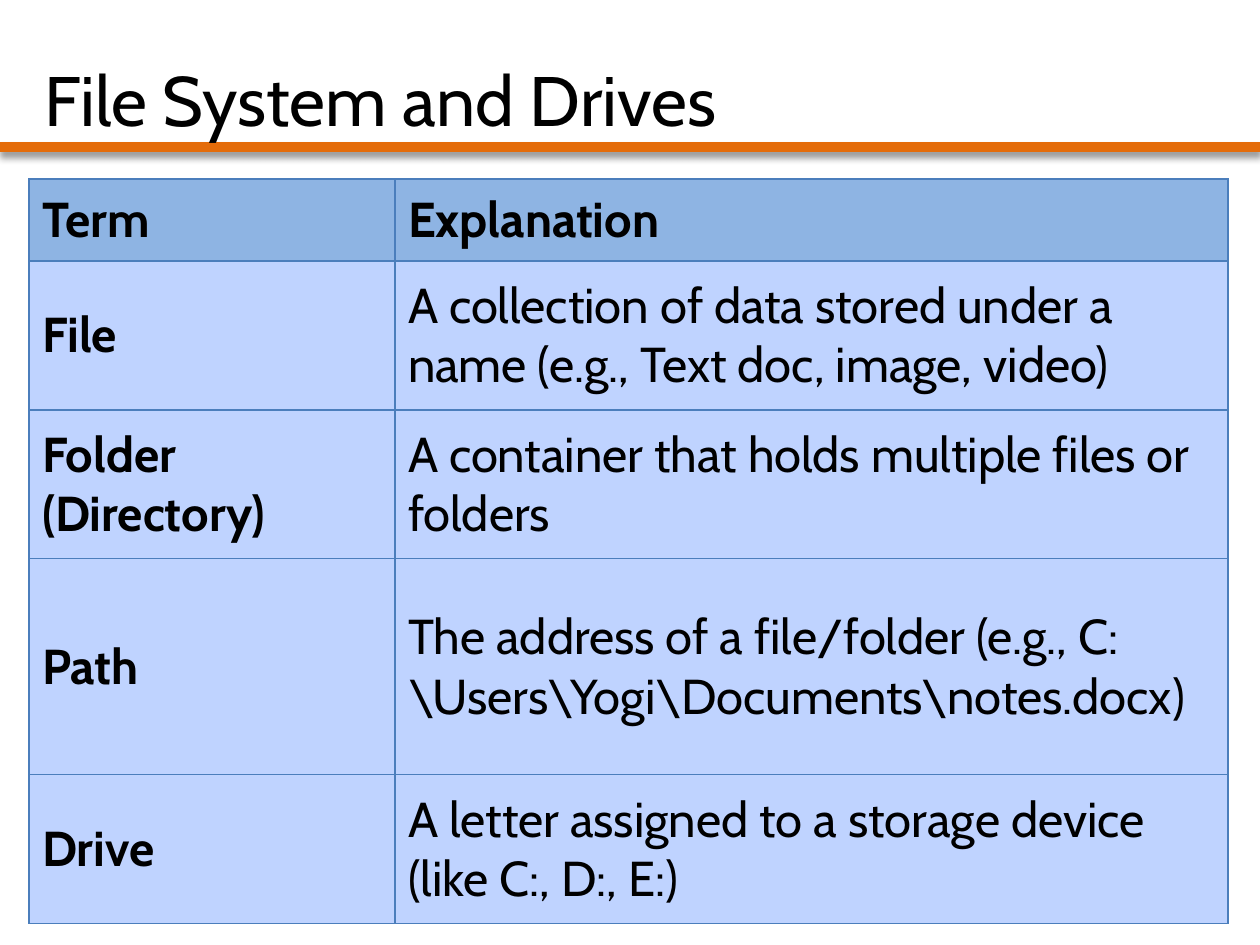
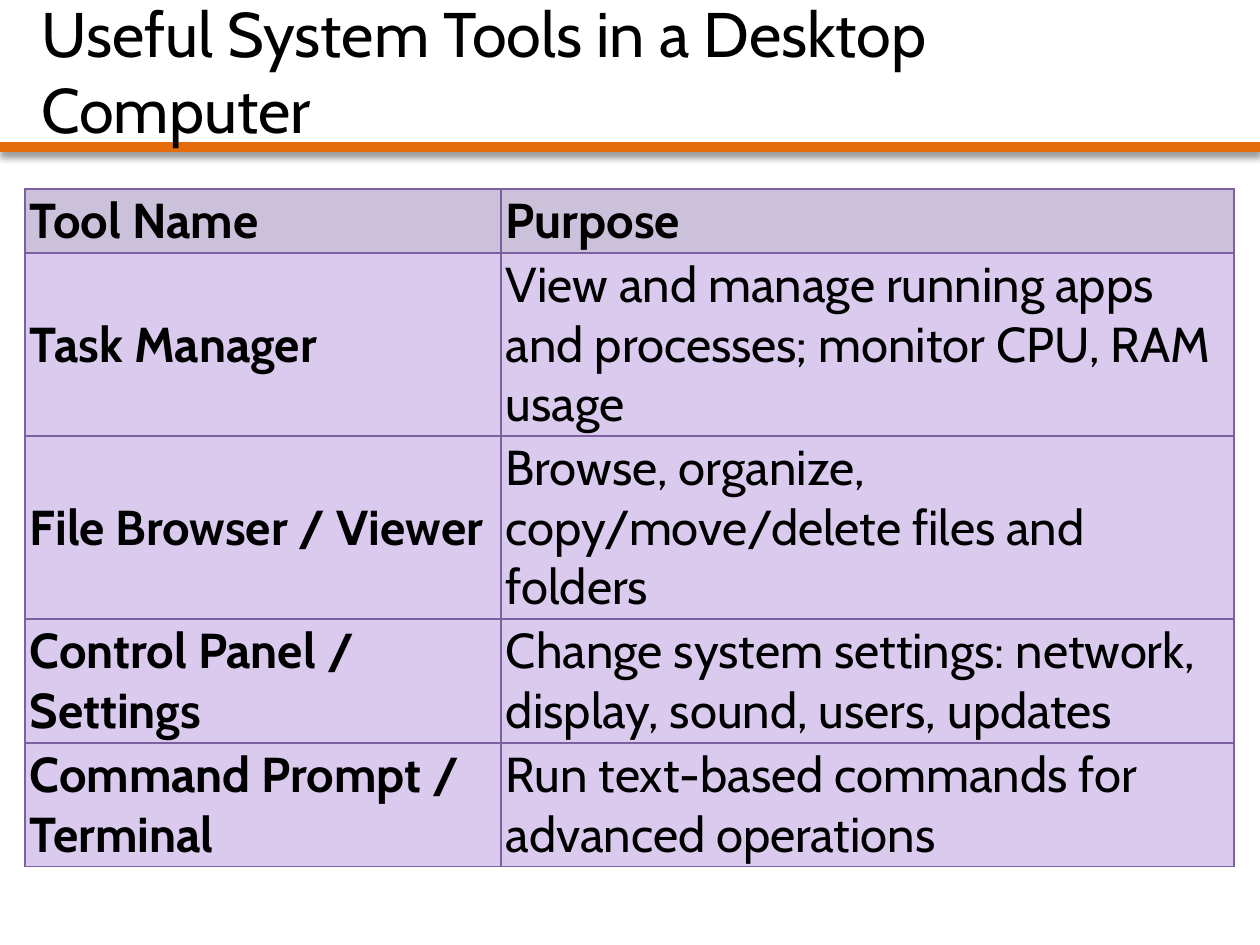
from lxml import etree
from pptx import Presentation
from pptx.dml.color import RGBColor
from pptx.enum.shapes import MSO_CONNECTOR
from pptx.enum.text import MSO_ANCHOR
from pptx.oxml import parse_xml
from pptx.oxml.ns import nsdecls, qn
from pptx.util import Emu, Pt

STRAIGHT = MSO_CONNECTOR.STRAIGHT
MIDDLE = MSO_ANCHOR.MIDDLE

FONT = "Cabin"
TEXT = "000000"
RULE = "E46C0A"
SLIDE_W, SLIDE_H = 1260, 945
RULE_Y = 147
BORDER_PT = 0.75

# Terms and explanations
DRIVE_ROWS = [
    ("Term", "Explanation"),
    ("File", "A collection of data stored under a name (e.g., Text doc, image, video)"),
    ("Folder (Directory)", "A container that holds multiple files or folders"),
    ("Path", "The address of a file/folder (e.g., C:\\Users\\Yogi\\Documents\\notes.docx)"),
    ("Drive", "A letter assigned to a storage device (like C:, D:, E:)"),
]

# Tools and purposes
TOOL_ROWS = [
    ("Tool Name", "Purpose"),
    ("Task Manager", "View and manage running apps and processes; monitor CPU, RAM usage"),
    ("File Browser / Viewer", "Browse, organize, copy/move/delete files and folders"),
    ("Control Panel / Settings", "Change system settings: network, display, sound, users, updates"),
    ("Command Prompt / Terminal", "Run text-based commands for advanced operations"),
]


def px(n):
    return Emu(round(n * 914400 / 126))


def color(hex_string):
    return RGBColor.from_string(hex_string)


def style(p, size, bold=False):
    p.font.name = FONT
    p.font.size = Pt(size)
    p.font.bold = bold
    p.font.color.rgb = color(TEXT)


def add_rule(slide):
    line = slide.shapes.add_connector(STRAIGHT, 0, px(RULE_Y), px(SLIDE_W), px(RULE_Y))
    line.line.color.rgb = color(RULE)
    line.line.width = Pt(6)
    line._element.spPr.append(parse_xml(
        f'<a:effectLst {nsdecls("a")}>'
        f'<a:outerShdw blurRad="{Pt(4)}" dist="{Pt(3)}" dir="5400000" rotWithShape="0">'
        '<a:srgbClr val="000000"><a:alpha val="40000"/></a:srgbClr>'
        '</a:outerShdw></a:effectLst>'))


def add_title(slide, text, box, size):
    tf = slide.shapes.add_textbox(*map(px, box)).text_frame
    tf.word_wrap = True
    tf.vertical_anchor = MIDDLE
    p = tf.paragraphs[0]
    p.text = text
    style(p, size)


def add_borders(cell, hex_string):
    tc_pr = cell._tc.get_or_add_tcPr()
    for i, side in enumerate(("lnL", "lnR", "lnT", "lnB")):
        ln = etree.Element(qn(f"a:{side}"), w=str(Pt(BORDER_PT)))
        fill = etree.SubElement(ln, qn("a:solidFill"))
        etree.SubElement(fill, qn("a:srgbClr"), val=hex_string)
        tc_pr.insert(i, ln)


def add_table(slide, rows, left, top, widths, heights, inset, header, body, border):
    table = slide.shapes.add_table(
        len(rows), len(widths), px(left), px(top),
        px(sum(widths)), px(sum(heights))).table
    table.horz_banding = False
    for column, width in zip(table.columns, widths):
        column.width = px(width)
    for row, height in zip(table.rows, heights):
        row.height = px(height)

    inset_x, inset_y = map(px, inset)
    for i, texts in enumerate(rows):
        for j, text in enumerate(texts):
            cell = table.cell(i, j)
            cell.margin_left = cell.margin_right = inset_x
            cell.margin_top = cell.margin_bottom = inset_y
            cell.vertical_anchor = MIDDLE
            cell.fill.solid()
            cell.fill.fore_color.rgb = color(header if i == 0 else body)
            add_borders(cell, border)
            p = cell.text_frame.paragraphs[0]
            p.text = text
            style(p, 28, bold=i == 0 or j == 0)


def add_slide(prs, title, title_box, title_size):
    slide = prs.slides.add_slide(prs.slide_layouts[6])
    add_rule(slide)
    add_title(slide, title, title_box, title_size)
    return slide


def main():
    prs = Presentation()
    prs.slide_width, prs.slide_height = px(SLIDE_W), px(SLIDE_H)

    # File system terms
    slide = add_slide(prs, "File System and Drives", (32, 38, 1071, 120), 40)
    add_table(slide, DRIVE_ROWS, 29, 179, (366, 833), (82, 149, 149, 216, 149),
              inset=(13, 6), header="8EB4E3", body="BFD3FF", border="4B7EBC")

    # System tools
    slide = add_slide(prs, "Useful System Tools in a Desktop Computer",
                      (29, 10, 1113, 120), 36)
    add_table(slide, TOOL_ROWS, 25, 189, (476, 733), (64, 183, 183, 124, 124),
              inset=(5, 2), header="CCC1DA", body="DACBEE", border="7D60A0")

    prs.save("out.pptx")


if __name__ == "__main__":
    main()
